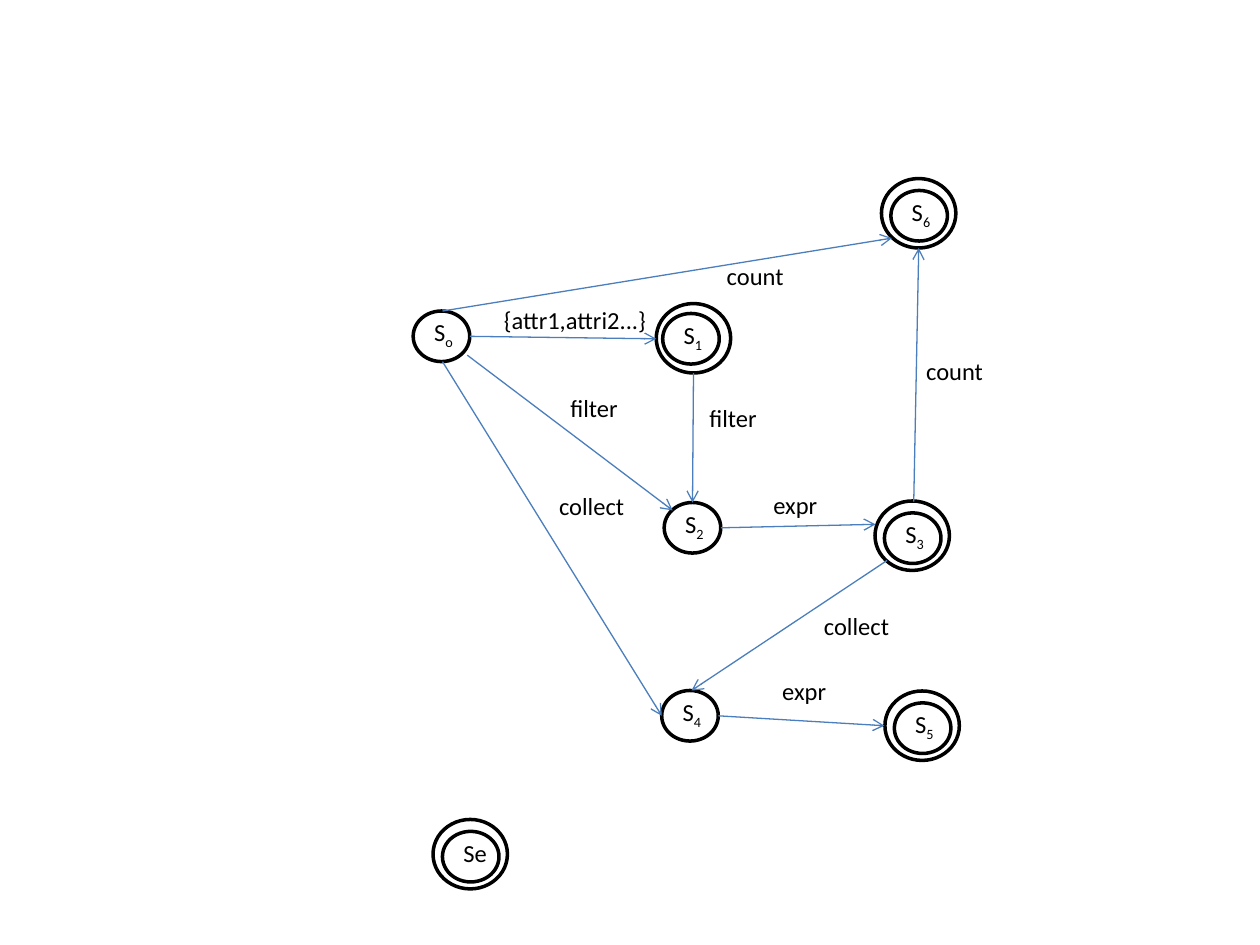
from lxml import etree
from pptx import Presentation
from pptx.dml.color import RGBColor
from pptx.enum.shapes import MSO_CONNECTOR, MSO_SHAPE
from pptx.enum.text import MSO_AUTO_SIZE
from pptx.oxml.ns import qn
from pptx.util import Cm, Pt

BLACK, BLUE = "000000", "4B7EBC"
INNER = (1.14, 1.02)
RING = (1.5, 1.4)
RING_GAP = (0.19, 0.24)

# Lengths in cm: letter, subscript, left and top of the inner circle, ring gap
STATES = [
    ("S", "o", 8.33, 6.27, None),
    ("S", "1", 13.36, 6.32, (0.13, 0.2)),
    ("S", "2", 13.39, 10.13, None),
    ("S", "3", 17.83, 10.34, RING_GAP),
    ("S", "4", 13.34, 13.92, None),
    ("S", "5", 18.03, 14.17, RING_GAP),
    ("S", "6", 17.96, 3.84, RING_GAP),
    ("Se", "", 8.92, 16.76, RING_GAP),
]

# Start, end, label, label box (left, top, width)
TRANSITIONS = [
    ((9.47, 6.78), (13.23, 6.83), "{attr1,attri2...}", (9.91, 6.02, 3.43)),
    ((9.42, 7.16), (13.56, 10.29), "filter", (11.25, 7.8, 1.47)),
    ((14.53, 10.64), (17.65, 10.57), "expr", (15.34, 9.75, 1.4)),
    ((13.98, 7.52), (13.96, 10.13), "filter", (14.05, 8.0, 1.47)),
    ((8.92, 7.29), (13.34, 14.43), "collect", (11.02, 9.78, 1.83)),
    ((14.48, 14.43), (17.83, 14.63), "expr", (15.52, 13.51, 1.4)),
    ((17.88, 11.3), (13.94, 13.92), "collect", (16.36, 12.19, 1.83)),
    ((8.92, 6.27), (17.98, 4.8), "count", (14.4, 5.13, 1.68)),
    ((18.42, 10.11), (18.52, 5.0), "count", (18.42, 7.06, 1.68)),
]


def color(value):
    return RGBColor.from_string(value)


def add_label(slide, text, left, top, width, subscript=""):
    box = slide.shapes.add_textbox(Cm(left), Cm(top), Cm(width), Cm(0.86))
    frame = box.text_frame
    frame.word_wrap = False
    frame.auto_size = MSO_AUTO_SIZE.SHAPE_TO_FIT_TEXT
    paragraph = frame.paragraphs[0]
    paragraph.font.name = "Calibri"
    paragraph.font.size = Pt(14)
    paragraph.font.color.rgb = color(BLACK)
    paragraph.add_run().text = text
    if subscript:
        run = paragraph.add_run()
        run.text = subscript
        run.font._element.set("baseline", "-25000")


def add_circle(slide, left, top, size):
    circle = slide.shapes.add_shape(
        MSO_SHAPE.OVAL, Cm(left), Cm(top), Cm(size[0]), Cm(size[1]))
    circle.shadow.inherit = False
    circle.fill.background()
    circle.line.color.rgb = color(BLACK)
    circle.line.width = Pt(2)


def add_state(slide, letter, subscript, left, top, ring_gap):
    if ring_gap:
        add_circle(slide, left - ring_gap[0], top - ring_gap[1], RING)
    add_label(slide, letter, left + 0.17, top, 0.91 if subscript else 1, subscript)
    add_circle(slide, left, top, INNER)


def add_transition(slide, start, end, label, label_box):
    arrow = slide.shapes.add_connector(
        MSO_CONNECTOR.STRAIGHT, *(Cm(value) for value in start + end))
    arrow.line.color.rgb = color(BLUE)
    arrow.line.width = Pt(0.75)
    # Open arrowhead, no shadow
    properties = arrow._element.spPr
    etree.SubElement(properties.find(qn("a:ln")), qn("a:tailEnd"), type="arrow")
    etree.SubElement(properties, qn("a:effectLst"))
    add_label(slide, label, *label_box)


presentation = Presentation()
presentation.slide_width, presentation.slide_height = Cm(25.4), Cm(19.05)
slide = presentation.slides.add_slide(presentation.slide_layouts[6])

# State machine
for state in STATES:
    add_state(slide, *state)
for transition in TRANSITIONS:
    add_transition(slide, *transition)

presentation.save("out.pptx")
